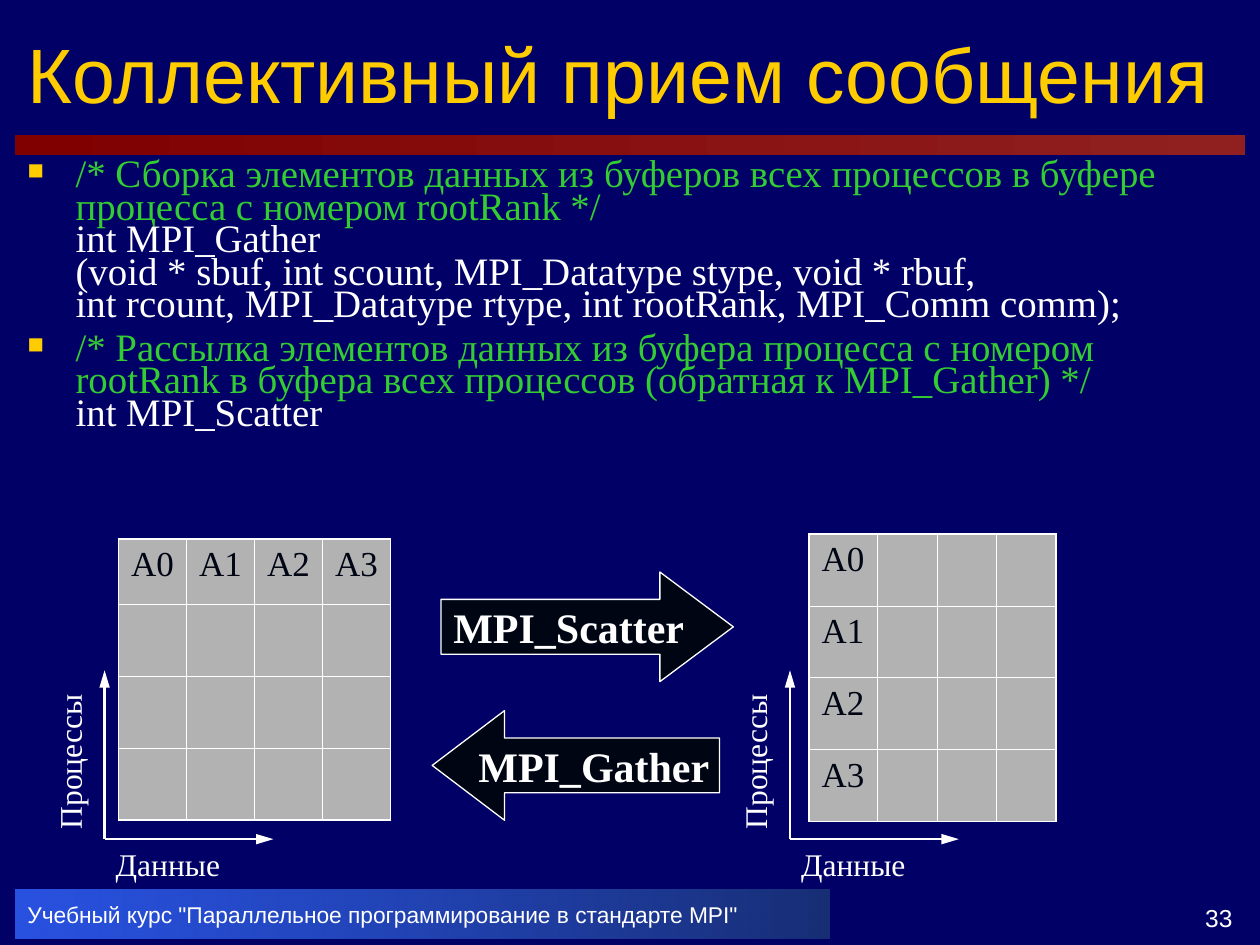
from lxml.etree import SubElement
from pptx import Presentation
from pptx.dml.color import RGBColor
from pptx.enum.shapes import MSO_CONNECTOR, MSO_SHAPE
from pptx.enum.text import MSO_ANCHOR, MSO_AUTO_SIZE, PP_ALIGN
from pptx.oxml import parse_xml
from pptx.oxml.ns import nsdecls, qn
from pptx.util import Inches, Pt

COLORS = {
    name: RGBColor.from_string(value)
    for name, value in {
        "background": "000066", "title": "FFCC00", "comment": "33CC33",
        "white": "FFFFFF", "dark": "000514", "cell": "B2B2B2",
        "rule start": "800000", "rule end": "902020",
        "footer start": "3366FF", "footer end": "182F76",
    }.items()
}
SERIF, SANS = "Times New Roman", "Arial"


def format_font(font, name, size, color, bold=False):
    values = {"name": name, "size": Pt(size), "bold": bold}
    for attribute, value in values.items():
        setattr(font, attribute, value)
    font.color.rgb = COLORS[color]


def write(frame, text, name, size, color, bold=False,
          align=PP_ALIGN.LEFT, anchor=MSO_ANCHOR.TOP):
    """Put one formatted paragraph into a text frame."""
    frame.word_wrap = True
    frame.auto_size = MSO_AUTO_SIZE.NONE
    frame.vertical_anchor = anchor
    paragraph = frame.paragraphs[0]
    paragraph.text = text
    paragraph.alignment = align
    format_font(paragraph.runs[0].font, name, size, color, bold)


prs = Presentation()
prs.slide_width, prs.slide_height = Inches(10), Inches(7.5)
slide = prs.slides.add_slide(prs.slide_layouts[1])
slide.background.fill.solid()
slide.background.fill.fore_color.rgb = COLORS["background"]

# Gradient bands: rule under the title and footer
bands = {}
for part, top, width, height in [("rule", 1.07, 9.76, 0.16),
                                 ("footer", 7.06, 6.46, 0.39)]:
    band = slide.shapes.add_shape(MSO_SHAPE.RECTANGLE, Inches(0.12), Inches(top),
                                  Inches(width), Inches(height))
    band.shadow.inherit = False
    band.line.fill.background()
    band.fill.gradient()
    band.fill.gradient_angle = 0
    for stop, end in zip(band.fill.gradient_stops, ("start", "end")):
        stop.color.rgb = COLORS[f"{part} {end}"]
    bands[part] = band

footer = bands["footer"]
first_color = next(footer.fill._xPr.iter(qn("a:srgbClr")))
SubElement(first_color, qn("a:alpha"), val="80000")
write(footer.text_frame, 'Учебный курс "Параллельное программирование в стандарте MPI"',
      SANS, 13, "white", anchor=MSO_ANCHOR.MIDDLE)
page_number = slide.shapes.add_textbox(Inches(8.86), Inches(7.06), Inches(1.02), Inches(0.39))
write(page_number.text_frame, "33", SANS, 14, "white",
      align=PP_ALIGN.RIGHT, anchor=MSO_ANCHOR.BOTTOM)

# Title and function descriptions
title, body = slide.shapes.title, slide.placeholders[1]
for placeholder, top, height in [(title, 0.09, 0.98), (body, 1.23, 2.91)]:
    placeholder.left, placeholder.top = Inches(0.12), Inches(top)
    placeholder.width, placeholder.height = Inches(9.76), Inches(height)
write(title.text_frame, "Коллективный прием сообщения", SANS, 44, "title",
      anchor=MSO_ANCHOR.MIDDLE)

functions = [
    ("/* Сборка элементов данных из буферов всех процессов в буфере "
     "процесса с номером rootRank */",
     ["int MPI_Gather",
      "(void * sbuf, int scount, MPI_Datatype stype, void * rbuf,",
      "int rcount, MPI_Datatype rtype, int rootRank, MPI_Comm comm);"]),
    ("/* Рассылка элементов данных из буфера процесса с номером "
     "rootRank в буфера всех процессов (обратная к MPI_Gather) */",
     ["int MPI_Scatter"]),
]
description = body.text_frame
description.auto_size = MSO_AUTO_SIZE.NONE
for index, (comment, code) in enumerate(functions):
    paragraph = description.add_paragraph() if index else description.paragraphs[0]
    properties = paragraph._p.get_or_add_pPr()
    properties.set("marL", str(Inches(0.38)))
    properties.set("indent", str(-Inches(0.38)))
    bullet_color = SubElement(properties, qn("a:buClr"))
    SubElement(bullet_color, qn("a:srgbClr"), val=str(COLORS["title"]))
    SubElement(properties, qn("a:buSzPct"), val="70000")
    SubElement(properties, qn("a:buFont"), typeface=SANS)
    SubElement(properties, qn("a:buChar"), char="■")
    paragraph.line_spacing = 0.7
    paragraph.space_before = Pt(6 if index else 0)
    format_font(paragraph.font, SERIF, 22.2, "white")
    for number, line in enumerate([comment, *code]):
        if number:
            paragraph.add_line_break()
        run = paragraph.add_run()
        run.text = line
        format_font(run.font, SERIF, 22.2, "white" if number else "comment")

# Data grids: one row scattered to one column
SIZE = 4
grids = [
    (0.94, 4.28, [0.54] * SIZE, [0.52, 0.57, 0.57, 0.57],
     {(0, i): f"A{i}" for i in range(SIZE)}),
    (6.42, 4.24, [0.54, 0.48, 0.47, 0.47], [0.57] * SIZE,
     {(i, 0): f"A{i}" for i in range(SIZE)}),
]
for left, top, widths, heights, labels in grids:
    grid = slide.shapes.add_table(SIZE, SIZE, Inches(left), Inches(top),
                                  Inches(sum(widths)), Inches(sum(heights))).table
    grid.first_row = grid.horz_banding = False
    for column, width in zip(grid.columns, widths):
        column.width = Inches(width)
    for row, height in zip(grid.rows, heights):
        row.height = Inches(height)
    for r in range(SIZE):
        for c in range(SIZE):
            cell = grid.cell(r, c)
            cell.margin_right = Inches(0.04)  # keeps each label on one line
            cell.fill.solid()
            cell.fill.fore_color.rgb = COLORS["cell"]
            if (r, c) in labels:
                cell.text = labels[r, c]
                format_font(cell.text_frame.paragraphs[0].runs[0].font, SERIF, 20, "dark")
            outer = {"lnL": c == 0, "lnR": c == SIZE - 1,
                     "lnT": r == 0, "lnB": r == SIZE - 1}
            for position, (side, on_edge) in enumerate(outer.items()):
                cell._tc.get_or_add_tcPr().insert(position, parse_xml(
                    f'<a:{side} {nsdecls("a")} w="{Pt(1.08 if on_edge else 0.45)}">'
                    f'<a:solidFill><a:srgbClr val="{COLORS["white"]}"/></a:solidFill>'
                    f'</a:{side}>'))

# Axes beside each grid
AXIS_Y = 6.66
for origin in (0.83, 6.27):
    axes = slide.shapes.add_group_shape().shapes
    for end_x, end_y in [(origin + 1.34, AXIS_Y), (origin, AXIS_Y - 1.34)]:
        axis = axes.add_connector(MSO_CONNECTOR.STRAIGHT, Inches(origin), Inches(AXIS_Y),
                                  Inches(end_x), Inches(end_y))
        axis.line.color.rgb = COLORS["white"]
        axis.line.width = Pt(1.5)
        SubElement(axis.line._get_or_add_ln(), qn("a:tailEnd"),
                   type="triangle", w="med", len="lg")
        SubElement(axis._element.spPr, qn("a:effectLst"))
    for text, left, top, width, rotation in [("Процессы", origin - 1, 5.76, 1.44, 270),
                                             ("Данные", origin - 0.01, AXIS_Y, 1.19, 0)]:
        label = axes.add_textbox(Inches(left), Inches(top), Inches(width), Inches(0.4))
        label.rotation = rotation
        write(label.text_frame, text, SERIF, 18, "white")

# Operations between the grids
operations = [
    ("MPI_Gather", MSO_SHAPE.LEFT_ARROW, 3.43, 5.64, 2.28, 0.66),
    ("MPI_Scatter", MSO_SHAPE.RIGHT_ARROW, 3.5, 4.54, 2.32, 0.67),
]
for text, direction, left, top, width, head in operations:
    arrow = slide.shapes.add_shape(direction, Inches(left), Inches(top),
                                   Inches(width), Inches(0.87))
    arrow.adjustments[0], arrow.adjustments[1] = 0.5, head
    arrow.shadow.inherit = False
    arrow.fill.solid()
    arrow.fill.fore_color.rgb = COLORS["dark"]
    arrow.line.color.rgb = COLORS["white"]
    arrow.line.width = Pt(0.75)
    write(arrow.text_frame, text, SERIF, 24, "white", bold=True,
          align=PP_ALIGN.CENTER, anchor=MSO_ANCHOR.MIDDLE)
    arrow.text_frame.word_wrap = False

prs.save("out.pptx")
